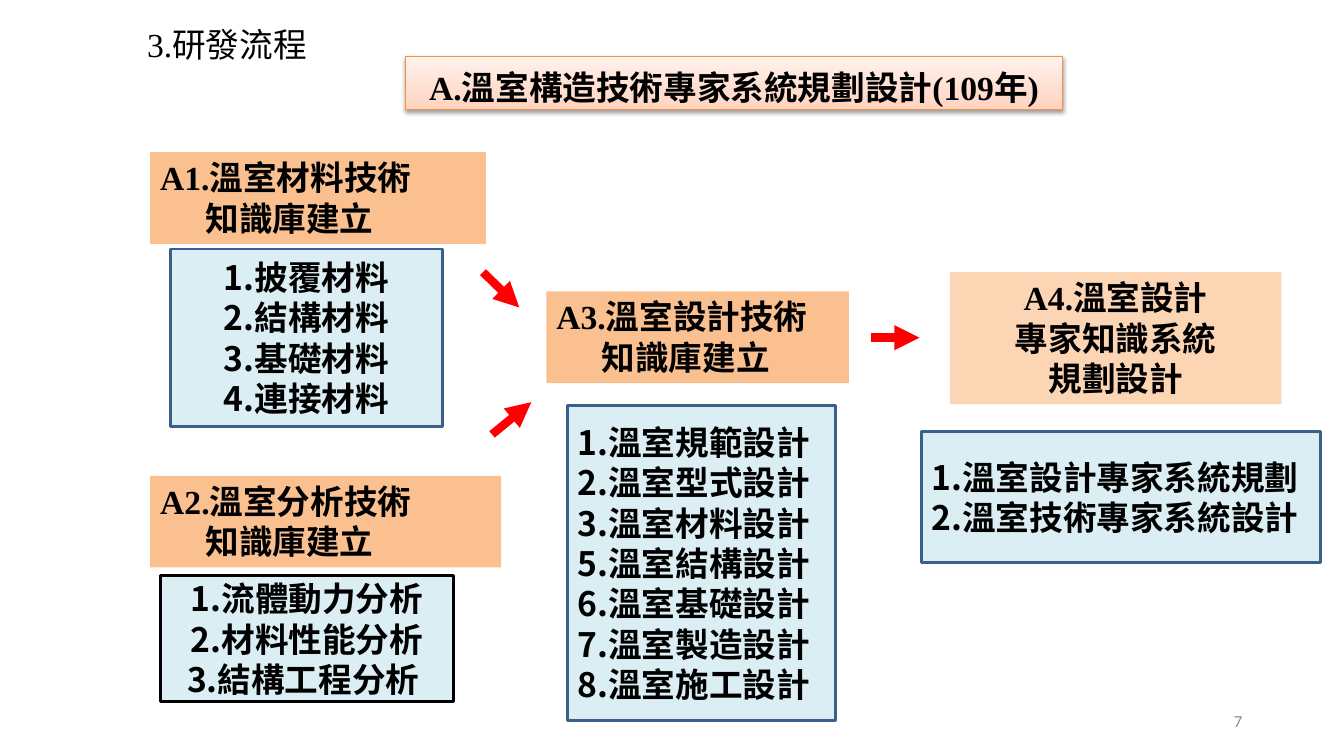
from dataclasses import dataclass
from typing import Optional

from lxml import etree
from pptx import Presentation
from pptx.dml import color
from pptx.enum import shapes, text
from pptx.oxml import ns, parse_xml
from pptx.util import Inches, Pt

LEFT, CENTER, RIGHT = text.PP_ALIGN.LEFT, text.PP_ALIGN.CENTER, text.PP_ALIGN.RIGHT
TOP, MIDDLE = text.MSO_ANCHOR.TOP, text.MSO_ANCHOR.MIDDLE
GROW, FIXED = text.MSO_AUTO_SIZE.SHAPE_TO_FIT_TEXT, text.MSO_AUTO_SIZE.NONE


@dataclass(frozen=True)
class Theme:
    black: str = "000000"
    stage: str = "FAC090"
    final_stage: str = "FCD5B5"
    panel: str = "DBEEF4"
    panel_edge: str = "3A5F8C"
    banner_edge: str = "F69240"
    banner_stops: tuple = ((0, "FFD2BD"), (35, "FFDED0"), (100, "FFF2ED"))
    arrow: str = "FF0000"
    page_number: str = "8C8C8C"
    serif: str = "Times New Roman"
    sans: str = "Noto Sans CJK SC"
    number_font: str = "Calibri"
    body: int = 24
    small: int = 12


THEME = Theme()


@dataclass(frozen=True)
class Box:
    at: tuple
    lines: tuple
    fill: Optional[str] = None
    edge: Optional[str] = None
    edge_width: float = 2
    font: str = THEME.serif
    size: int = THEME.body
    ink: str = THEME.black
    bold: bool = True
    align: text.PP_ALIGN = LEFT
    anchor: text.MSO_ANCHOR = TOP
    autofit: text.MSO_AUTO_SIZE = GROW
    indents: tuple = ()
    wrap: bool = True
    margins: tuple = (0.1, 0.05)
    line_spacing: Optional[float] = None


@dataclass(frozen=True)
class Arrow:
    start: tuple
    end: tuple


def stage(at: tuple, heading: str) -> Box:
    return Box(at, (heading, "知識庫建立"), THEME.stage, indents=(0, 0.45))


def panel(at: tuple, lines: tuple, align=LEFT, edge: str = THEME.panel_edge) -> Box:
    return Box(at, lines, THEME.panel, edge, font=THEME.sans, align=align,
               anchor=MIDDLE, autofit=FIXED)


PAGE_NUMBER = Box((9.42, 6.95, 3, 0.4), ("7",), font=THEME.number_font, size=THEME.small,
                  ink=THEME.page_number, bold=False, align=RIGHT, anchor=MIDDLE, autofit=FIXED)
STAGES = (
    stage((1.49, 1.51, 3.33, 0.91), "A1.溫室材料技術"),
    stage((1.49, 4.72, 3.48, 0.91), "A2.溫室分析技術"),
    stage((5.42, 2.89, 3, 0.91), "A3.溫室設計技術"),
    Box((9.42, 2.7, 3.29, 1.31), ("A4.溫室設計", "專家知識系統", "規劃設計"),
        THEME.final_stage, align=CENTER),
)
PANELS = (
    panel((1.69, 2.47, 2.7, 1.76),
          ("1.披覆材料", "2.結構材料", "3.基礎材料", "4.連接材料"), CENTER),
    panel((1.59, 5.71, 2.91, 1.25),
          ("1.流體動力分析", "2.材料性能分析", "3.結構工程分析 "), CENTER, THEME.black),
    panel((5.63, 4.02, 2.66, 3.13),
          ("1.溫室規範設計", "2.溫室型式設計", "3.溫室材料設計", "5.溫室結構設計",
           "6.溫室基礎設計", "7.溫室製造設計", "8.溫室施工設計")),
    panel((9.14, 4.28, 3.96, 1.3),
          ("1.溫室設計專家系統規劃", "2.溫室技術專家系統設計")),
)
ARROWS = (
    Arrow((4.79, 2.7), (5.15, 3.05)),
    Arrow((4.88, 4.31), (5.27, 3.99)),
    Arrow((8.64, 3.35), (9.12, 3.35)),
)
SECTION_TITLE = Box((1.06, 0.19, 2.72, 0.5), ("3.研發流程",), bold=False, indents=(0.3,))
BANNER = Box((4.02, 0.56, 6.52, 0.53), ("A.溫室構造技術專家系統規劃設計(109年)",),
             THEME.banner_stops[0][1], THEME.banner_edge, 0.75, align=CENTER,
             anchor=MIDDLE, wrap=False, margins=(0.04, 0.02), line_spacing=35)


def rgb(value: str) -> color.RGBColor:
    return color.RGBColor.from_string(value)


def apply(target, formats: dict) -> None:
    for name, value in formats.items():
        setattr(target, name, value)


def write_lines(shape, box: Box) -> None:
    frame = shape.text_frame
    side, end = (Inches(margin) for margin in box.margins)
    apply(frame, dict(word_wrap=box.wrap, auto_size=box.autofit, vertical_anchor=box.anchor,
                      margin_left=side, margin_right=side, margin_top=end, margin_bottom=end))
    for index, line in enumerate(box.lines):
        paragraph = frame.add_paragraph() if index else frame.paragraphs[0]
        paragraph.alignment = box.align
        if box.line_spacing:
            paragraph.line_spacing = Pt(box.line_spacing)
        if box.indents:
            apply_indent = paragraph._p.get_or_add_pPr().set
            apply_indent("marL", str(Inches(box.indents[index])))
            apply_indent("indent", "0")
        run = paragraph.add_run()
        run.text = line
        apply(run.font, dict(name=box.font, size=Pt(box.size), bold=box.bold))
        run.font.color.rgb = rgb(box.ink)
        east_asian = etree.SubElement(run._r.get_or_add_rPr(), ns.qn("a:ea"))
        east_asian.set("typeface", THEME.sans)


def draw_box(slide, box: Box):
    place = [Inches(value) for value in box.at]
    if box.fill is None:
        shape = slide.shapes.add_textbox(*place)
    else:
        shape = slide.shapes.add_shape(shapes.MSO_SHAPE.RECTANGLE, *place)
        shape.shadow.inherit = False
        shape.fill.solid()
        shape.fill.fore_color.rgb = rgb(box.fill)
        if box.edge:
            shape.line.color.rgb = rgb(box.edge)
            shape.line.width = Pt(box.edge_width)
        else:
            shape.line.fill.background()
    write_lines(shape, box)
    return shape


def shade_banner(banner) -> None:
    """Give the banner its upward gradient and its soft shadow below."""
    properties = banner._element.spPr
    stops = "".join(f'<a:gs pos="{pos * 1000}"><a:srgbClr val="{value}"/></a:gs>'
                    for pos, value in THEME.banner_stops)
    gradient = parse_xml(f'<a:gradFill {ns.nsdecls("a")} rotWithShape="1"><a:gsLst>{stops}'
                         '</a:gsLst><a:lin ang="16200000" scaled="0"/></a:gradFill>')
    properties.replace(properties.find(ns.qn("a:solidFill")), gradient)
    properties.find(ns.qn("a:effectLst")).append(parse_xml(
        f'<a:outerShdw {ns.nsdecls("a")} blurRad="{Pt(3.1)}" dist="{Pt(1.6)}" dir="5400000" '
        f'rotWithShape="0"><a:srgbClr val="{THEME.black}"><a:alpha val="38000"/>'
        '</a:srgbClr></a:outerShdw>'))


def draw_arrow(slide, arrow: Arrow) -> None:
    ends = [Inches(value) for value in arrow.start + arrow.end]
    connector = slide.shapes.add_connector(shapes.MSO_CONNECTOR.STRAIGHT, *ends)
    connector.line.color.rgb = rgb(THEME.arrow)
    connector.line.width = Pt(6)
    etree.SubElement(connector.line._get_or_add_ln(), ns.qn("a:tailEnd")).set("type", "triangle")
    etree.SubElement(connector._element.spPr, ns.qn("a:effectLst"))


def main() -> None:
    deck = Presentation()
    apply(deck, dict(slide_width=Inches(13.33), slide_height=Inches(7.5)))
    slide = deck.slides.add_slide(deck.slide_layouts[6])
    for box in (PAGE_NUMBER, *STAGES, *PANELS):
        draw_box(slide, box)
    for arrow in ARROWS:
        draw_arrow(slide, arrow)
    draw_box(slide, SECTION_TITLE)
    shade_banner(draw_box(slide, BANNER))
    deck.save("out.pptx")


if __name__ == "__main__":
    main()
